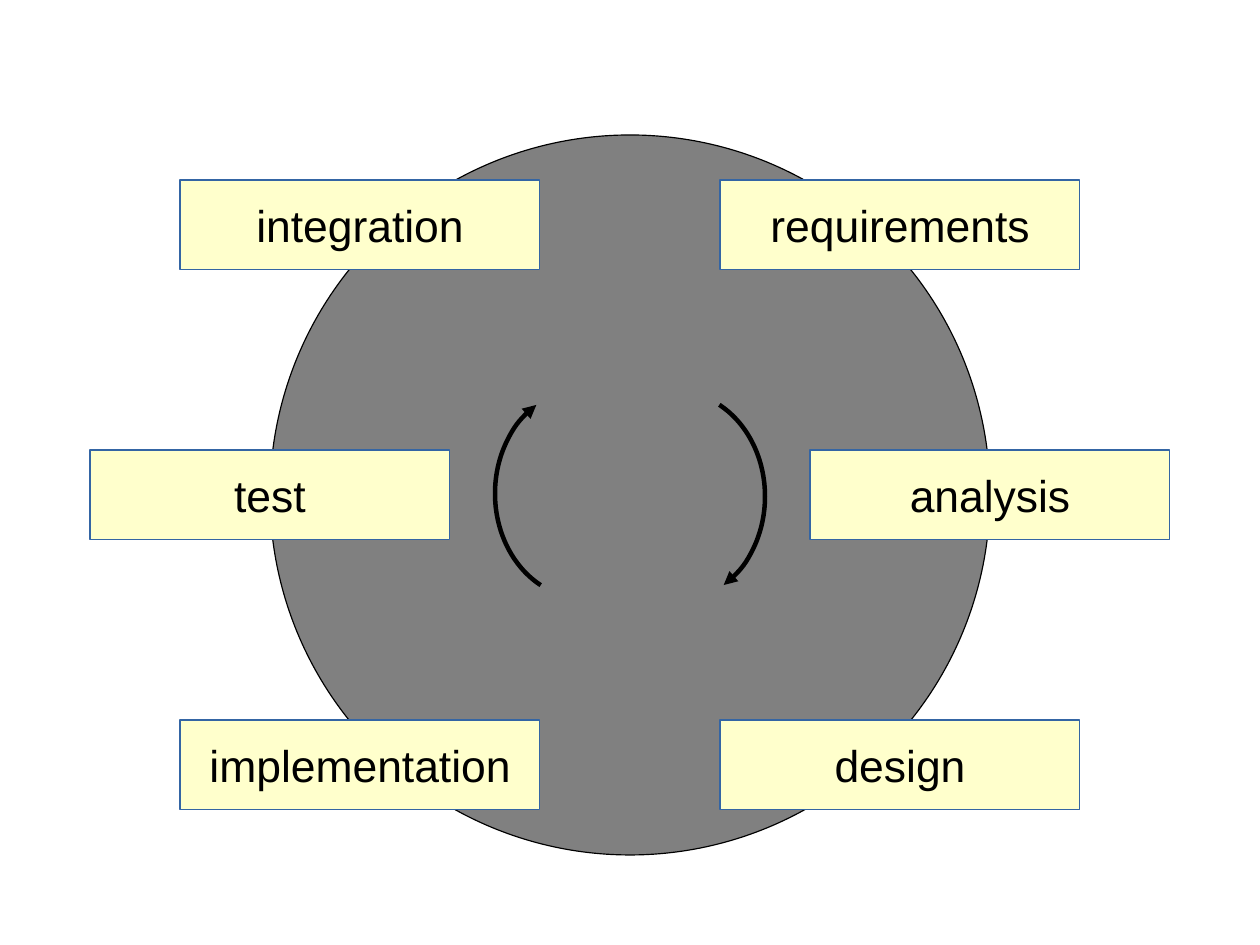
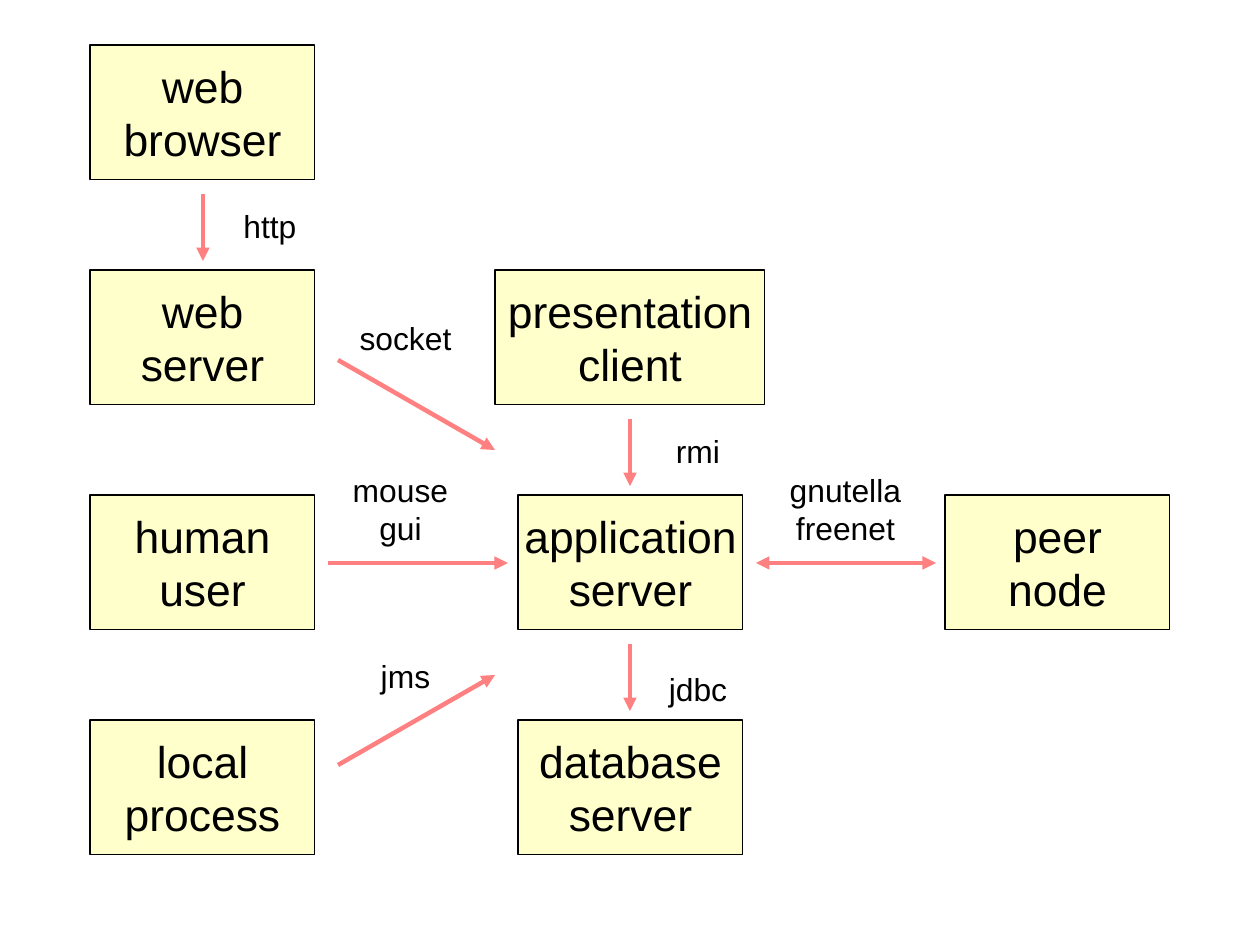
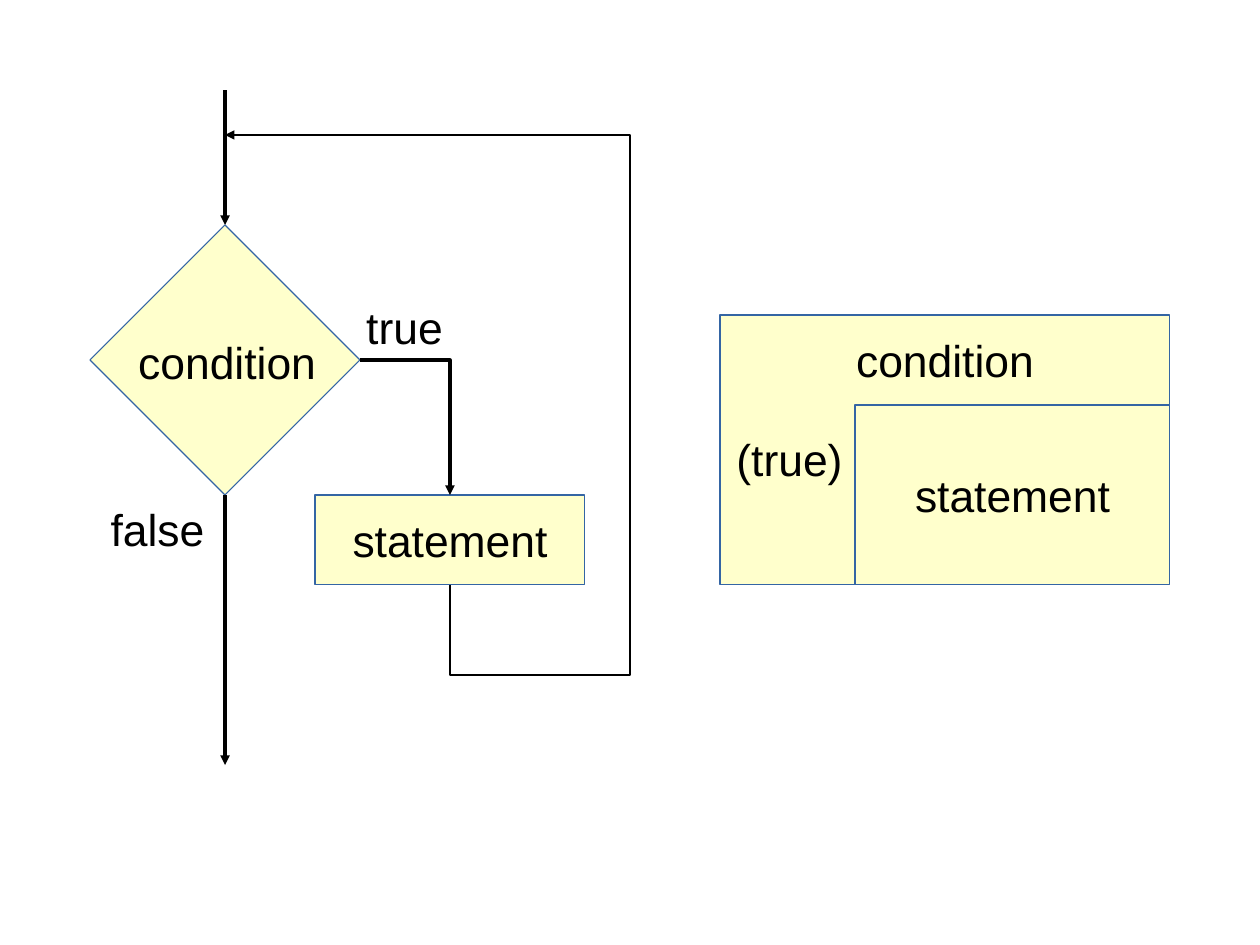
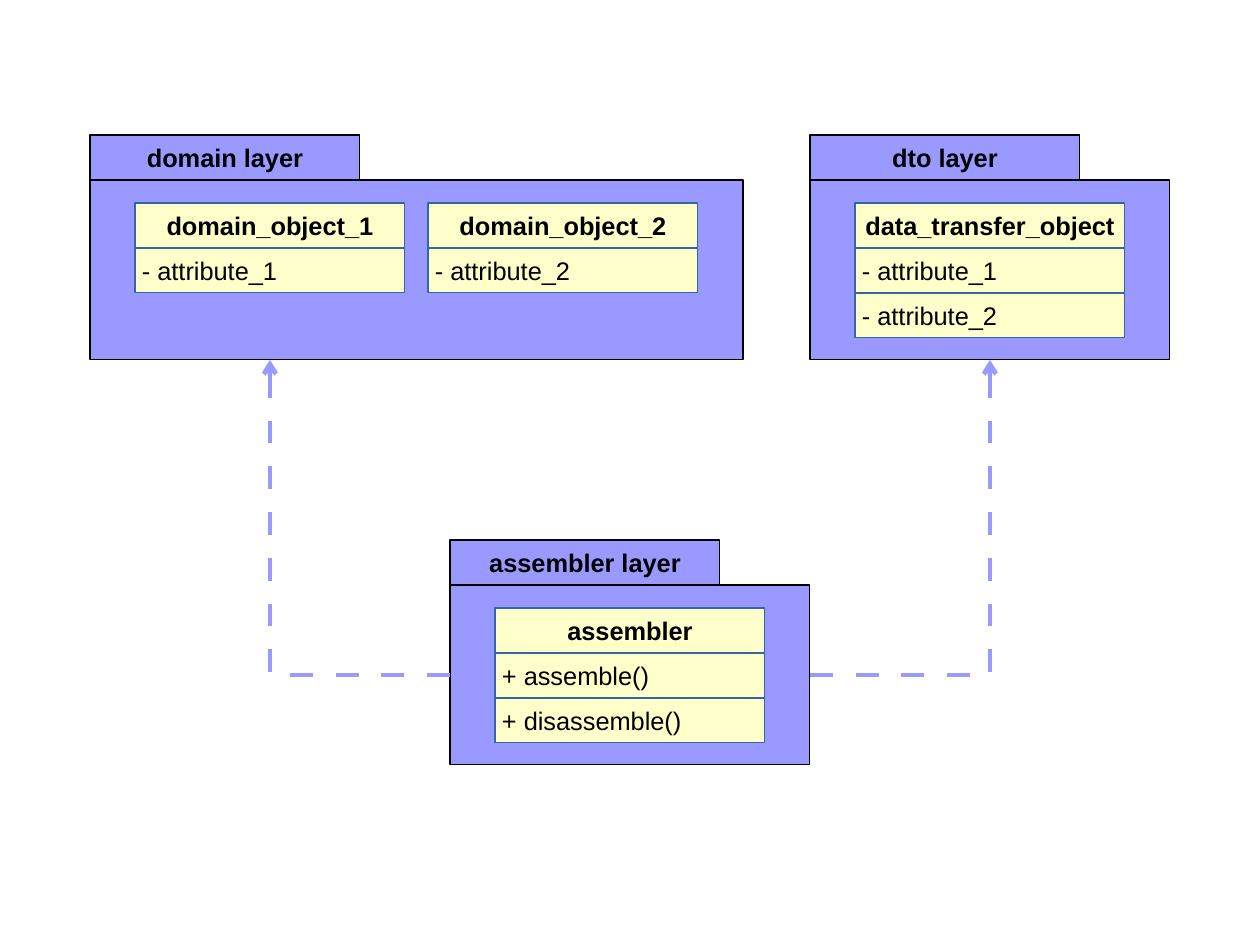
import lxml.etree
import pptx
import pptx.dml.color
import pptx.enum.shapes
import pptx.enum.text
import pptx.oxml.ns
import pptx.util

PX = 8000  # EMU
SLIDE_WIDTH, SLIDE_HEIGHT = 1260, 945
FONT = "Arial"
LARGE, MEDIUM, SMALL = 28, 20, 16
HAIRLINE, THICK = 0, 2.83
COLORS = {
    "text": "000000",
    "outline": "000000",
    "box": "FFFFCC",
    "box_line": "3465A4",
    "wheel": "808080",
    "protocol": "FF8080",
    "package": "9999FF",
}
SHAPES = pptx.enum.shapes.MSO_SHAPE
CONNECTORS = pptx.enum.shapes.MSO_CONNECTOR
ALIGN = pptx.enum.text.PP_ALIGN
TOP, BOTTOM, RIGHT = 0, 2, 3  # connection sites


def px(*lengths):
    return [pptx.util.Emu(length * PX) for length in lengths]


def rgb(name):
    return pptx.dml.color.RGBColor.from_string(COLORS[name])


def write(shape, text, size, bold=False, align=ALIGN.CENTER, indent=0):
    frame = shape.text_frame
    frame.word_wrap = True
    frame.vertical_anchor = pptx.enum.text.MSO_ANCHOR.MIDDLE
    frame.margin_top = frame.margin_right = frame.margin_bottom = 0
    frame.margin_left = px(indent)[0]
    frame.text = text
    for paragraph in frame.paragraphs:
        paragraph.alignment = align
        paragraph.font.name = FONT
        paragraph.font.size = pptx.util.Pt(size)
        paragraph.font.bold = bold
        paragraph.font.color.rgb = rgb("text")


def set_line(shape, color, width):
    shape.line.color.rgb = rgb(color)
    shape.line.width = pptx.util.Pt(width)


def add_label(slide, box, text, size=LARGE):
    write(slide.shapes.add_textbox(*px(*box)), text, size)


def add_box(slide, box, text="", fill="box", line="box_line", kind=SHAPES.RECTANGLE,
            size=LARGE, **style):
    shape = slide.shapes.add_shape(kind, *px(*box))
    shape.shadow.inherit = False
    shape.fill.solid()
    shape.fill.fore_color.rgb = rgb(fill)
    set_line(shape, line, HAIRLINE)
    if text:
        write(shape, text, size, **style)
    return shape


def set_ends(shape, tail="triangle", head=None, dashed=False):
    """Add dashes and arrowheads to a line that already has its colour."""
    qn = pptx.oxml.ns.qn
    outline = shape._element.spPr.find(qn("a:ln"))
    if dashed:
        dashes = lxml.etree.SubElement(outline, qn("a:custDash"))
        lxml.etree.SubElement(dashes, qn("a:ds"), d="508000", sp="508000")
    for end, arrow in (("a:headEnd", head), ("a:tailEnd", tail)):
        if arrow:
            lxml.etree.SubElement(outline, qn(end), type=arrow)


def add_arrow(slide, start, end, color="outline", width=HAIRLINE,
              kind=CONNECTORS.STRAIGHT, head=None):
    arrow = slide.shapes.add_connector(kind, *px(*start, *end))
    set_line(arrow, color, width)
    set_ends(arrow, head=head)
    lxml.etree.SubElement(arrow._element.spPr, pptx.oxml.ns.qn("a:effectLst"))
    return arrow


def add_path(slide, points, color="outline", width=HAIRLINE, **ends):
    """Draw an open line through the points, with an arrow at the last one."""
    builder = slide.shapes.build_freeform(*points[0], scale=PX)
    builder.add_line_segments(points[1:], close=False)
    path = builder.convert_to_shape()
    path.shadow.inherit = False
    path.fill.background()
    set_line(path, color, width)
    set_ends(path, **ends)


def add_turn(slide, left, top, rotation):
    turn = slide.shapes.add_shape(SHAPES.ARC, *px(left, top, 176, 209))
    turn.shadow.inherit = False
    turn.fill.background()
    turn.rotation = rotation
    for index, degrees in enumerate((294.8, 62.2)):
        turn.adjustments[index] = degrees * 0.6
    set_line(turn, "outline", THICK)
    set_ends(turn)


def add_life_cycle(slide, left, top):
    """Draw the wheel with three phases down each side."""
    add_box(slide, (left + 180, top, 720, 720), fill="wheel", line="outline",
            kind=SHAPES.OVAL)
    add_turn(slide, left + 499, top + 257, 0)
    add_turn(slide, left + 405, top + 254, 180)
    sides = (
        ((630, 720, 630), ("requirements", "analysis", "design")),
        ((90, 0, 90), ("integration", "test", "implementation")),
    )
    for offsets, phases in sides:
        for row, (offset, phase) in enumerate(zip(offsets, phases)):
            add_box(slide, (left + offset, top + 45 + row * 270, 360, 90), phase)


def add_architecture(slide, left, top):
    """Draw the nodes on a grid of rows, and the protocols between them."""
    pitch, height = 225, 135
    nodes = (
        (0, 0, 225, "web\nbrowser"),
        (0, 1, 225, "web\nserver"),
        (0, 2, 225, "human\nuser"),
        (0, 3, 225, "local\nprocess"),
        (405, 1, 270, "presentation\nclient"),
        (428, 2, 225, "application\nserver"),
        (428, 3, 225, "database\nserver"),
        (855, 2, 225, "peer\nnode"),
    )
    for x, row, width, node in nodes:
        add_box(slide, (left + x, top + row * pitch, width, height), node, line="outline")

    links = (
        ((113, 149), (113, 216), None),
        ((540, 374), (540, 441), None),
        ((540, 599), (540, 666), None),
        ((248, 315), (405, 405), None),
        ((248, 720), (405, 630), None),
        ((238, 518), (418, 518), None),
        ((666, 518), (846, 518), "triangle"),
    )
    for start, end, head in links:
        (x1, y1), (x2, y2) = start, end
        add_arrow(slide, (left + x1, top + y1), (left + x2, top + y2),
                  "protocol", THICK, head=head)

    protocols = (
        (135, 158, 90, 45, "http"),
        (563, 383, 90, 45, "rmi"),
        (563, 621, 90, 45, "jdbc"),
        (248, 270, 135, 45, "socket"),
        (248, 608, 135, 45, "jms"),
        (243, 419, 135, 90, "mouse\ngui"),
        (688, 419, 135, 90, "gnutella\nfreenet"),
    )
    for x, y, width, label_height, protocol in protocols:
        add_label(slide, (left + x, top + y, width, label_height), protocol, MEDIUM)


def add_flowchart(slide, left, top):
    axis = left + 135
    condition = add_box(slide, (left, top + 135, 270, 270), kind=SHAPES.DIAMOND)
    statement = add_box(slide, (left + 225, top + 405, 270, 90), "statement")
    for start, end in ((0, 135), (405, 675)):
        add_arrow(slide, (axis, top + start), (axis, top + end))

    branch = add_arrow(slide, (left + 270, top + 270), (left + 360, top + 405),
                       kind=CONNECTORS.ELBOW)
    branch._element.spPr.prstGeom.set("prst", "bentConnector2")
    branch.begin_connect(condition, RIGHT)
    branch.end_connect(statement, TOP)

    add_path(slide, [(left + 360, top + 495), (left + 360, top + 585),
                     (left + 540, top + 585), (left + 540, top + 45), (axis, top + 45)])
    add_label(slide, (left + 36, top + 238, 202, 68), "condition")
    add_label(slide, (left + 247, top + 203, 135, 67), "true")
    add_label(slide, (left, top + 405, 135, 68), "false")


def add_structogram(slide, left, top):
    add_box(slide, (left, top, 450, 270))
    add_label(slide, (left + 126, top + 13, 198, 63), "condition")
    add_label(slide, (left + 4, top + 112, 131, 63), "(true)")
    add_box(slide, (left + 135, top + 90, 315, 180), "statement")


def add_class(slide, left, top, title, members):
    width, row = 270, 45
    add_box(slide, (left, top, width, row), title, size=SMALL, bold=True)
    for index, member in enumerate(members, 1):
        add_box(slide, (left, top + index * row, width, row), member, size=SMALL,
                align=ALIGN.LEFT, indent=7)


def add_package(slide, left, top, width, title, classes):
    tab = 45
    add_box(slide, (left, top + tab, width, 180), fill="package", line="outline")
    add_box(slide, (left, top, 270, tab), title, "package", "outline",
            size=SMALL, bold=True)
    for index, (name, members) in enumerate(classes):
        add_class(slide, left + 45 + index * 293, top + 68, name, members)


def add_layers(slide, left, top):
    """Draw the three packages and what the assembler depends on."""
    add_package(slide, left, top, 653, "domain layer", (
        ("domain_object_1", ("- attribute_1",)),
        ("domain_object_2", ("- attribute_2",)),
    ))
    add_package(slide, left + 360, top + 405, 360, "assembler layer", (
        ("assembler", ("+ assemble()", "+ disassemble()")),
    ))
    add_package(slide, left + 720, top, 360, "dto layer", (
        ("data_transfer_object", ("- attribute_1", "- attribute_2")),
    ))
    for edge, target in ((360, 180), (720, 900)):
        add_path(slide, [(left + edge, top + 540), (left + target, top + 540),
                         (left + target, top + 225)],
                 "package", THICK, tail="arrow", dashed=True)


def main():
    deck = pptx.Presentation()
    deck.slide_width, deck.slide_height = px(SLIDE_WIDTH, SLIDE_HEIGHT)
    pages = (
        ((add_life_cycle, 90, 135),),
        ((add_architecture, 90, 45),),
        ((add_flowchart, 90, 90), (add_structogram, 720, 315)),
        ((add_layers, 90, 135),),
    )
    for regions in pages:
        slide = deck.slides.add_slide(deck.slide_layouts[6])
        for draw, left, top in regions:
            draw(slide, left, top)
    deck.save("out.pptx")


if __name__ == "__main__":
    main()
